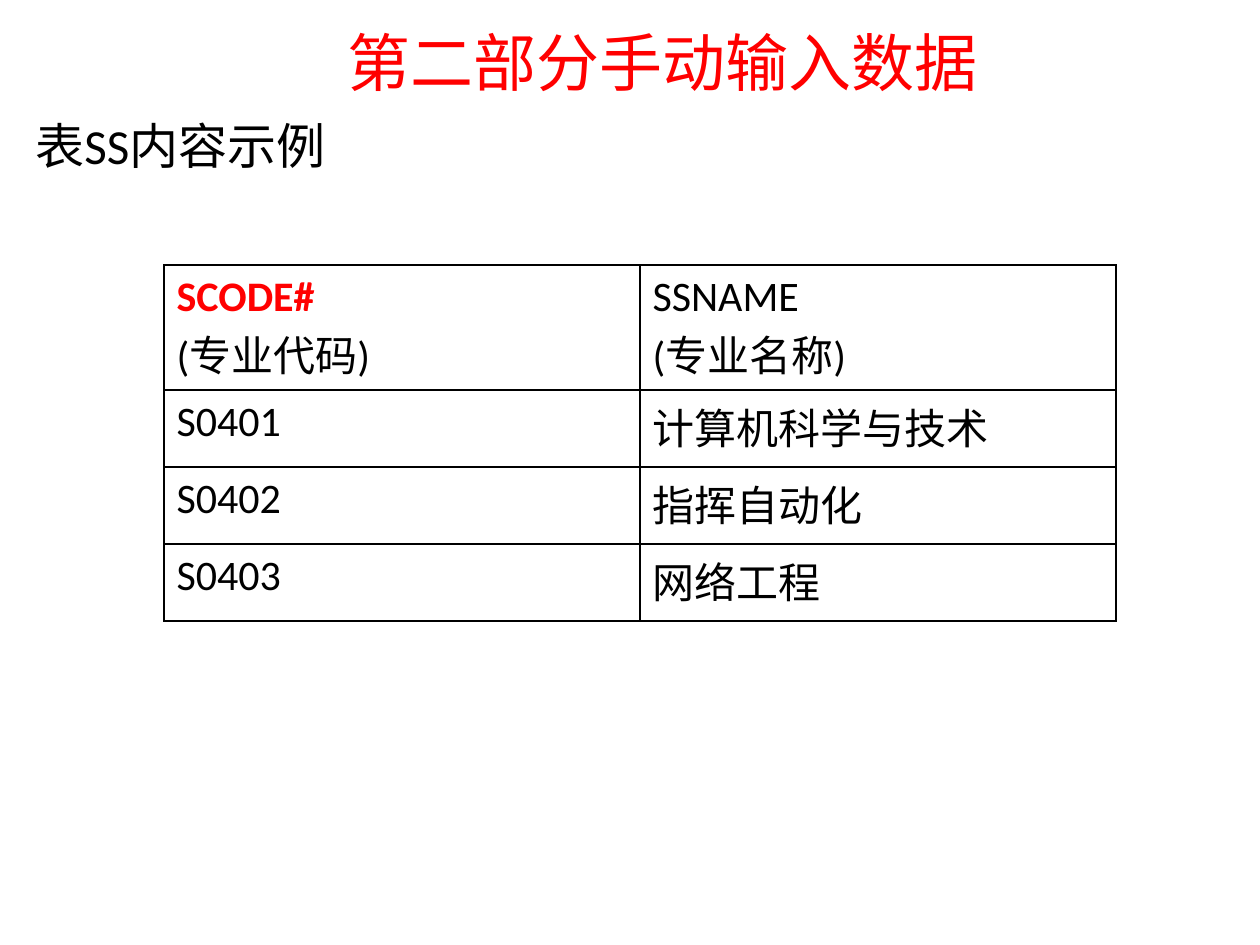
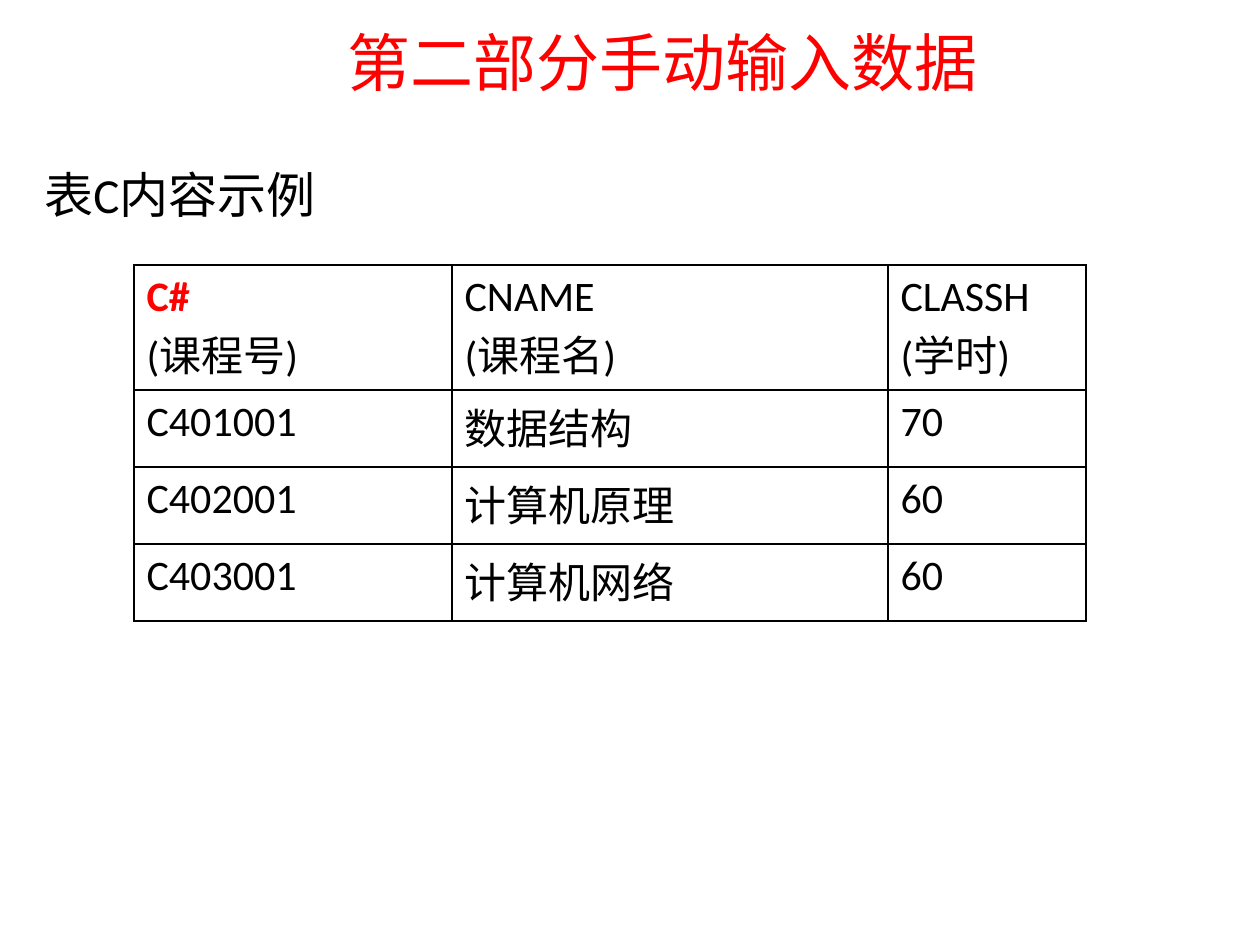
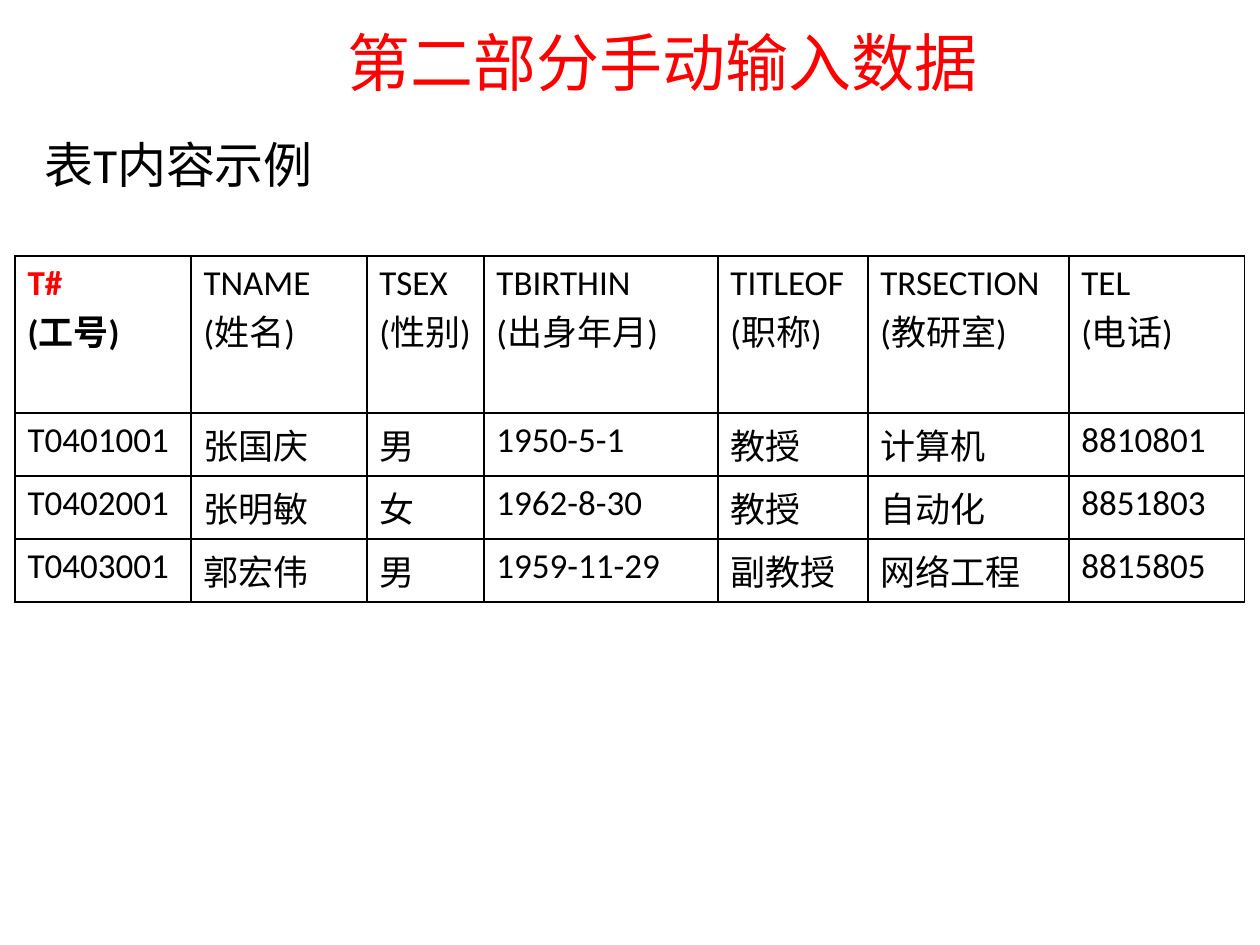
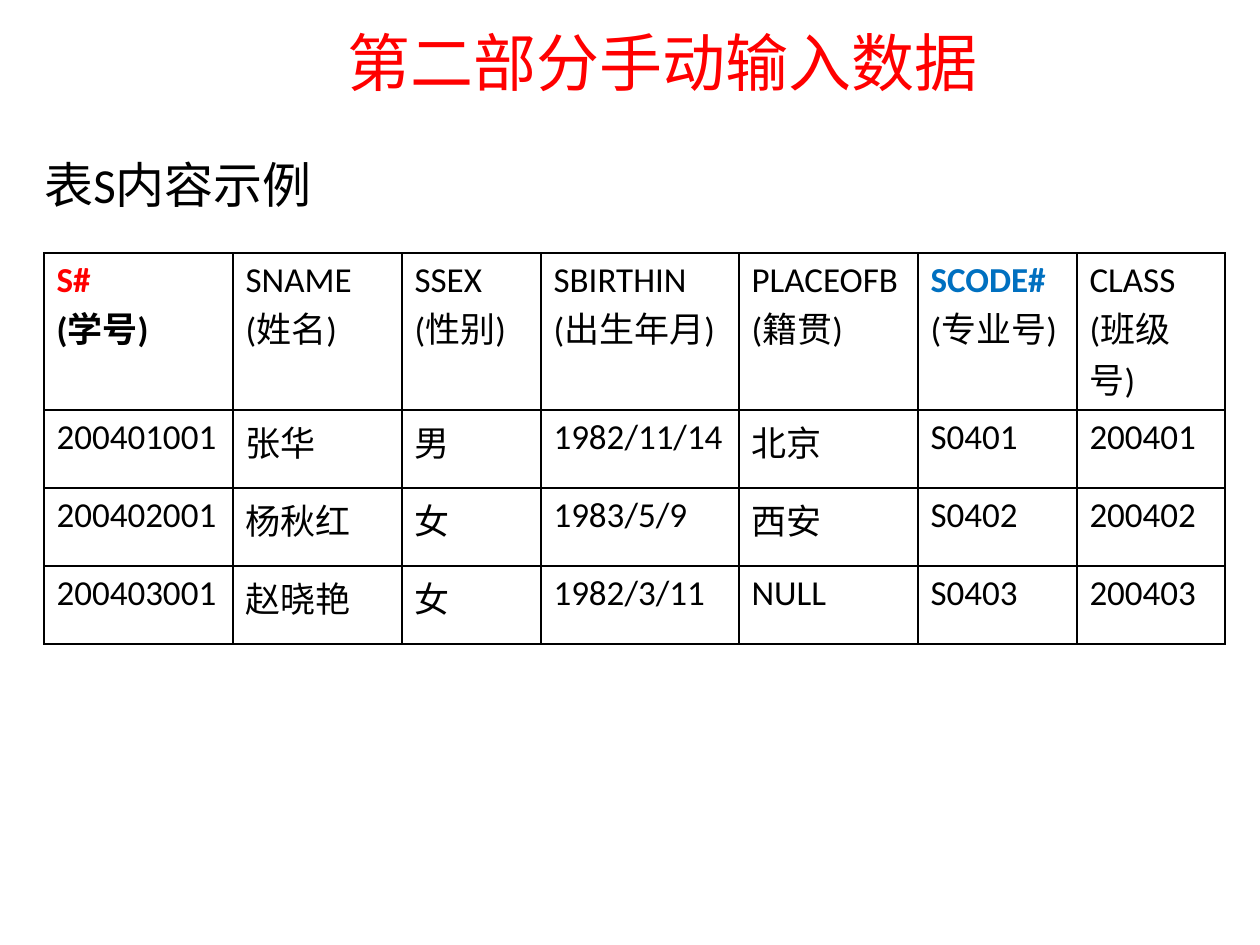
from pptx import Presentation
from pptx import util as u
from pptx.dml.color import RGBColor
from pptx.enum import text
from pptx.oxml import parse_xml
from pptx.oxml.ns import nsdecls

# Shared look
SCALE = 914400 / 126
FONT = "Calibri"
RED, BLUE, BLACK = "FF0000", "0070C0", "000000"
TITLE = "第二部分手动输入数据"
INDENT = 47


def px(n):
    return u.Emu(round(n * SCALE))


def tint(code):
    return RGBColor.from_string(code)


def write(para, words, size=24, color=BLACK, bold=False):
    run = para.add_run()
    run.text = words
    font = run.font
    font.name, font.size, font.bold = FONT, u.Pt(size), bold
    font.color.rgb = tint(color)


def place(shape, left, top, width, height):
    shape.left, shape.top = px(left), px(top)
    shape.width, shape.height = px(width), px(height)


def add_title(slide):
    shape = slide.shapes.title
    place(shape, 106, 19, 1113, 84)
    frame = shape.text_frame
    frame.vertical_anchor = text.MSO_ANCHOR.MIDDLE
    para = frame.paragraphs[0]
    para.alignment = text.PP_ALIGN.CENTER
    write(para, TITLE, size=36, color=RED)


def add_caption(slide, name, left, top):
    box = slide.shapes.add_textbox(px(left), px(top), px(1228), px(814))
    box.text_frame.word_wrap = True
    para = box.text_frame.paragraphs[0]
    para.line_spacing = 0.9
    para.space_before = u.Pt(5.6)
    # Hanging indent
    props = para._p.get_or_add_pPr()
    props.set("marL", str(px(INDENT)))
    props.set("indent", str(-px(INDENT)))
    write(para, f"表{name}内容示例", size=28)


def frame_cell(cell):
    """Thin black border on every side, no fill."""
    props = cell._tc.get_or_add_tcPr()
    for side in ("L", "R", "T", "B"):
        props.append(parse_xml(
            f'<a:ln{side} {nsdecls("a")} w="12700"><a:solidFill>'
            f'<a:srgbClr val="{BLACK}"/></a:solidFill></a:ln{side}>'))
    cell.fill.background()


def add_grid(slide, left, top, cols, head, rows, head_px, row_px, size, keys,
             bold_label=False):
    """Header entries are "FIELD label"; keys maps a key field to its colour."""
    shape = slide.shapes.add_table(
        len(rows) + 1, len(cols), px(left), px(top),
        px(sum(cols)), px(head_px + row_px * len(rows)))
    table = shape.table
    table.first_row = table.horz_banding = False
    for col, width in zip(table.columns, cols):
        col.width = px(width)
    for i, row in enumerate(table.rows):
        row.height = px(row_px if i else head_px)

    # Header row: field name over its label
    for i, entry in enumerate(head):
        field, label = entry.split()
        frame = table.cell(0, i).text_frame
        write(frame.paragraphs[0], field, size=size,
              color=keys.get(field, BLACK), bold=field in keys)
        write(frame.add_paragraph(), f"({label})", size=size,
              bold=bold_label and i == 0)

    # Data rows
    for r, row in enumerate(rows, 1):
        for c, value in enumerate(row.split()):
            write(table.cell(r, c).text_frame.paragraphs[0], value, size=size)
    for cell in table.iter_cells():
        frame_cell(cell)


# One entry per slide: caption (name, left, top) and its table
SHEETS = [
    (("SS", 23, 116), dict(
        left=164, top=265, cols=[476, 476], head_px=125, row_px=77, size=24,
        keys={"SCODE#": RED},
        head=["SCODE# 专业代码", "SSNAME 专业名称"],
        rows=["S0401 计算机科学与技术", "S0402 指挥自动化", "S0403 网络工程"])),
    (("C", 32, 165), dict(
        left=134, top=265, cols=[318, 436, 198], head_px=125, row_px=77,
        size=24, keys={"C#": RED},
        head=["C# 课程号", "CNAME 课程名", "CLASSH 学时"],
        rows=["C401001 数据结构 70", "C402001 计算机原理 60",
              "C403001 计算机网络 60"])),
    (("T", 32, 135), dict(
        left=15, top=256, cols=[176, 176, 117, 234, 150, 201, 176],
        head_px=157, row_px=63, size=20, keys={"T#": RED}, bold_label=True,
        head=["T# 工号", "TNAME 姓名", "TSEX 性别", "TBIRTHIN 出身年月",
              "TITLEOF 职称", "TRSECTION 教研室", "TEL 电话"],
        rows=["T0401001 张国庆 男 1950-5-1 教授 计算机 8810801",
              "T0402001 张明敏 女 1962-8-30 教授 自动化 8851803",
              "T0403001 郭宏伟 男 1959-11-29 副教授 网络工程 8815805"])),
    (("S", 32, 155), dict(
        left=44, top=253, cols=[189, 169, 139, 198, 179, 159, 148],
        head_px=157, row_px=78, size=20, keys={"S#": RED, "SCODE#": BLUE},
        bold_label=True,
        head=["S# 学号", "SNAME 姓名", "SSEX 性别", "SBIRTHIN 出生年月",
              "PLACEOFB 籍贯", "SCODE# 专业号", "CLASS 班级号"],
        rows=["200401001 张华 男 1982/11/14 北京 S0401 200401",
              "200402001 杨秋红 女 1983/5/9 西安 S0402 200402",
              "200403001 赵晓艳 女 1982/3/11 NULL S0403 200403"])),
]


def main():
    deck = Presentation()
    deck.slide_width, deck.slide_height = px(1260), px(945)
    for caption, grid in SHEETS:
        slide = deck.slides.add_slide(deck.slide_layouts[5])
        add_caption(slide, *caption)
        add_grid(slide, **grid)
        add_title(slide)
    deck.save("out.pptx")


if __name__ == "__main__":
    main()
